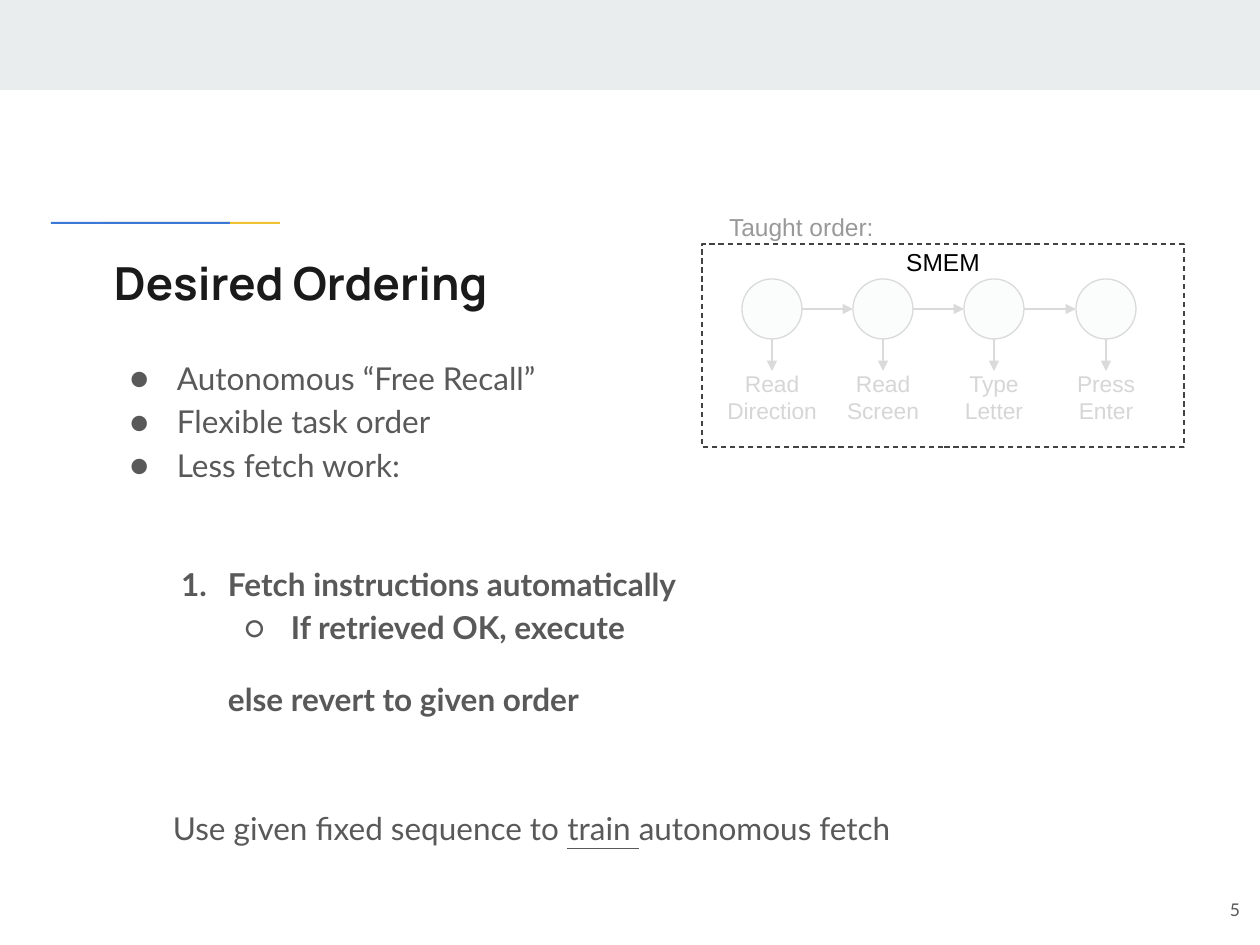
import pptx
import pptx.util
import pptx.dml.color
import pptx.enum.dml
import pptx.enum.shapes
import pptx.enum.text
import pptx.oxml.ns
from lxml import etree

RGB = pptx.dml.color.RGBColor
PALE, INK, WHITE = RGB(0xE9, 0xED, 0xEE), RGB(0x1A, 0x1A, 0x1A), RGB(255, 255, 255)
BLUE, GOLD = RGB(0x3C, 0x78, 0xD8), RGB(0xF1, 0xC2, 0x32)
BODY, DASH, GREY, BLACK = RGB(0x59, 0x59, 0x59), RGB(0x43, 0x43, 0x43), RGB(0x99, 0x99, 0x99), RGB(0, 0, 0)

SHAPE = pptx.enum.shapes.MSO_SHAPE
ALIGN = pptx.enum.text.PP_ALIGN
MIDDLE = pptx.enum.text.MSO_ANCHOR.MIDDLE
Pt = pptx.util.Pt
qn = pptx.oxml.ns.qn

TITLE = dict(name="Manrope", size=Pt(26), bold=True, color=INK)
TEXT = dict(name="Lato", size=Pt(18), color=BODY)
STRONG = dict(TEXT, bold=True)
NUMBER = dict(TEXT, size=Pt(10))
HEADING = dict(name="Arial", size=Pt(14), color=BLACK)
CAPTION = dict(HEADING, color=GREY)
LABEL = dict(HEADING, size=Pt(13))


def px(n):
    return round(n * 914400 / 126)


def set_font(font, fmt):
    for key, value in fmt.items():
        if key == "color":
            font.color.rgb = value
        else:
            setattr(font, key, value)


def add_bullet(p, mark):
    pPr = p._p.get_or_add_pPr()
    clr = etree.SubElement(pPr, qn("a:buClr"))
    etree.SubElement(clr, qn("a:srgbClr"), val=str(BODY))
    etree.SubElement(pPr, qn("a:buFont"), typeface="Lato")
    if mark == "1.":
        etree.SubElement(pPr, qn("a:buAutoNum"), type="arabicPeriod")
    else:
        etree.SubElement(pPr, qn("a:buChar"), char=mark)


def add_text(s, box, paragraphs, fmt, anchor=None):
    """Each paragraph is a dict: runs, and optionally mark, left and attrs."""
    sp = s.shapes.add_textbox(*map(px, box))
    tf = sp.text_frame
    tf.word_wrap = True
    for side in ("left", "right", "top", "bottom"):
        setattr(tf, "margin_" + side, px(13))
    if anchor is not None:
        tf.vertical_anchor = anchor
    for i, item in enumerate(paragraphs):
        p = tf.add_paragraph() if i else tf.paragraphs[0]
        pPr = p._p.get_or_add_pPr()
        if "left" in item:
            pPr.set("marL", str(px(item["left"])))
            pPr.set("indent", str(px(-47) if "mark" in item else 0))
        if "mark" in item:
            add_bullet(p, item["mark"])
        for key, value in item.get("attrs", {}).items():
            setattr(p, key, value)
        for text, extra in item["runs"]:
            r = p.add_run()
            r.text = text
            set_font(r.font, dict(fmt, **extra))
    return sp


def para(text, **kw):
    return dict(runs=[(text, {})], **kw)


def add_box(s, kind, box, fill, line=None, dash=None):
    sp = s.shapes.add_shape(kind, *map(px, box))
    sp.shadow.inherit = False
    sp.fill.solid()
    sp.fill.fore_color.rgb = fill
    if line is None:
        sp.line.fill.background()
    else:
        sp.line.color.rgb = line
        sp.line.width = Pt(0.75)
    if dash is not None:
        sp.line.dash_style = dash
    return sp


def add_arrow(s, x1, y1, x2, y2, width):
    c = s.shapes.add_connector(pptx.enum.shapes.MSO_CONNECTOR.STRAIGHT, px(x1), px(y1), px(x2), px(y2))
    c.line.color.rgb = INK
    c.line.width = Pt(width)
    etree.SubElement(c.line._get_or_add_ln(), qn("a:tailEnd"), type="triangle")
    etree.SubElement(c._element.spPr, qn("a:effectLst"))
    return c


def header(s, x, y, w, h):
    # Top band and two-colour accent rule
    add_box(s, SHAPE.RECTANGLE, (x, y, w, h), PALE)
    add_box(s, SHAPE.RECTANGLE, (x + 101, y + 222, 179, 2), GOLD)
    add_box(s, SHAPE.RECTANGLE, (x + 51, y + 222, 179, 2), BLUE)


def bullets(s, x, y, w, h):
    lines = ("Autonomous “Free Recall”", "Flexible task order", "Less fetch work:")
    add_text(s, (x, y, w, h), [para(t, left=63, mark="●", attrs=dict(line_spacing=1.15)) for t in lines], TEXT)


def procedure(s, x, y, w, h):
    spacing = dict(line_spacing=1.15)
    add_text(s, (x, y, w, h), [
        para("Fetch instructions automatically", left=63, mark="1.", attrs=spacing),
        para("If retrieved OK, execute", left=126, mark="○", attrs=dict(spacing, level=1)),
        para("else revert to given order", left=63,
             attrs=dict(spacing, space_before=Pt(16), space_after=Pt(16))),
    ], STRONG)


def conclusion(s, x, y, w, h):
    runs = [("Use given fixed sequence to ", {}), ("train ", dict(underline=True)), ("autonomous fetch", {})]
    add_text(s, (x, y, w, h), [dict(runs=runs, attrs=dict(line_spacing=1.15, space_after=Pt(16)))], TEXT, MIDDLE)


def taught_order(s, x, y, w, h):
    centered = dict(alignment=ALIGN.CENTER)
    # Dashed frame and its heading
    add_box(s, SHAPE.RECTANGLE, (x, y, w, h), WHITE, DASH, pptx.enum.dml.MSO_LINE.DASH)
    add_text(s, (x + w // 2 - 60, y - 10, 120, 44), [para("SMEM", attrs=centered)], HEADING)

    # Chain of steps, each pointing down to its label
    d, top, label_top = 60, y + 35, y + 127
    centers = [x + 70 + i * 334 // 3 for i in range(4)]
    for cx, name in zip(centers, ("Read Direction", "Read Screen", "Type Letter", "Press Enter")):
        add_box(s, SHAPE.OVAL, (cx - d // 2, top, d, d), PALE, INK)
        label = add_text(s, (cx - 61, label_top, 122, 52), [para(name, attrs=centered)], LABEL, MIDDLE)
        add_arrow(s, cx, top + d, cx, label_top, 0.75).end_connect(label, 0)
    for a, b in zip(centers, centers[1:]):
        add_arrow(s, a + d // 2, top + d // 2, b - d // 2, top + d // 2, 1.5)

    # Caption, and a translucent veil that fades the chain
    add_text(s, (x + 14, y - 45, 181, 32), [para("Taught order:")], CAPTION)
    veil = add_box(s, SHAPE.RECTANGLE, (x + 14, y + 34, 452, 151), WHITE)
    clr = veil._element.spPr.find(qn("a:solidFill")).find(qn("a:srgbClr"))
    etree.SubElement(clr, qn("a:alpha"), val="84000")


def main():
    prs = pptx.Presentation()
    prs.slide_width, prs.slide_height = px(1260), px(945)
    s = prs.slides.add_slide(prs.slide_layouts[6])
    header(s, 0, 0, 1260, 90)
    add_text(s, (101, 242, 573, 98), [para("Desired Ordering")], TITLE)
    bullets(s, 101, 340, 566, 176)
    add_text(s, (1177, 873, 76, 72), [para("5", attrs=dict(alignment=ALIGN.RIGHT))], NUMBER, MIDDLE)
    taught_order(s, 702, 244, 482, 203)
    procedure(s, 152, 546, 649, 186)
    conclusion(s, 160, 732, 835, 186)
    prs.save("out.pptx")


if __name__ == "__main__":
    main()
